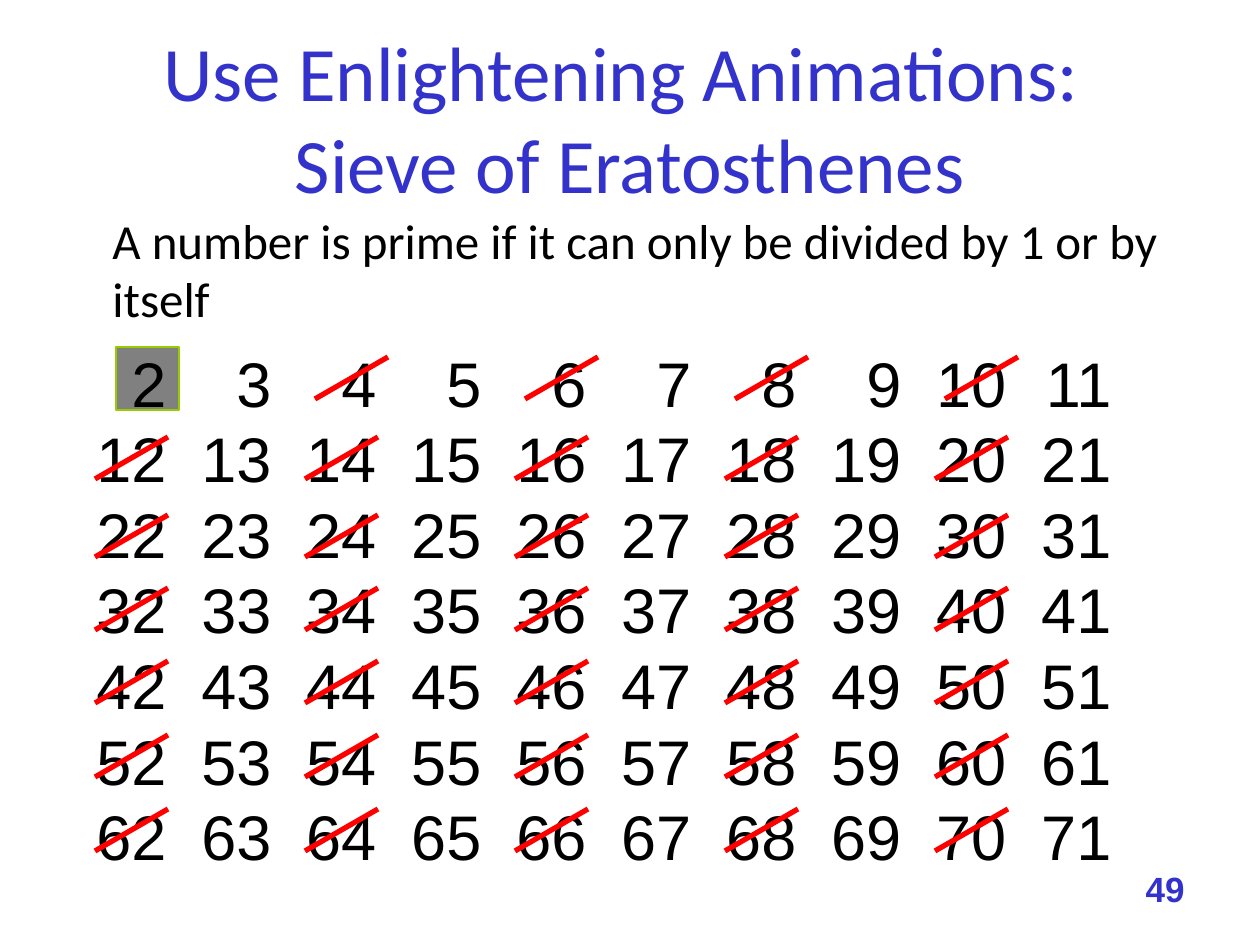
from pptx import Presentation
from pptx.dml.color import RGBColor
from pptx.enum.shapes import MSO_CONNECTOR, MSO_SHAPE
from pptx.enum.text import MSO_ANCHOR, PP_ALIGN
from pptx.oxml.ns import qn
from pptx.util import Pt
from lxml import etree

PX = 914400 // 126
LEFT, CENTER, RIGHT = PP_ALIGN.LEFT, PP_ALIGN.CENTER, PP_ALIGN.RIGHT
TOP, MIDDLE = MSO_ANCHOR.TOP, MSO_ANCHOR.MIDDLE
RECT = MSO_SHAPE.RECTANGLE
STRAIGHT = MSO_CONNECTOR.STRAIGHT

BLUE, BLACK, RED = "3333CC", "000000", "FF0000"
COLUMNS = 10
COLUMN_PITCH = 105
FIRST_TAB = 70
ROW_STARTS = range(2, 63, COLUMNS)
STRIKE_BOTTOMS = [399, 479, 557, 630, 703, 777, 851]
STRIKE_WIDTH, STRIKE_HEIGHT = 73, 42


def px(*lengths):
    return [n * PX for n in lengths]


def color(value):
    return RGBColor.from_string(value)


def add_text(slide, box, text, size, font="Calibri", fill=BLACK, bold=False,
             align=LEFT, anchor=TOP, line_spacing=None):
    sp = slide.shapes.add_textbox(*px(*box))
    tf = sp.text_frame
    tf.word_wrap = True
    tf.vertical_anchor = anchor
    tf.text = text
    for p in tf.paragraphs:
        p.alignment = align
        p.line_spacing = line_spacing
        for r in p.runs:
            r.font.name = font
            r.font.size = Pt(size)
            r.font.bold = bold
            r.font.color.rgb = color(fill)
    return sp


def set_right_tabs(p, positions):
    tabs = etree.SubElement(p._p.get_or_add_pPr(), qn("a:tabLst"))
    for pos in positions:
        etree.SubElement(tabs, qn("a:tab"), pos=str(pos), algn="r")


def add_number_grid(slide):
    rows = ["".join(f"\t{n}" for n in range(start, start + COLUMNS))
            for start in ROW_STARTS]
    sp = add_text(slide, (84, 338, 1075, 619), "\n".join(rows), 36,
                  font="Arial", line_spacing=Pt(43.2))
    stops = px(*(FIRST_TAB + i * COLUMN_PITCH for i in range(COLUMNS)))
    for p in sp.text_frame.paragraphs:
        set_right_tabs(p, stops)


def add_highlight(slide, box):
    sp = slide.shapes.add_shape(RECT, *px(*box))
    sp.shadow.inherit = False
    sp.fill.solid()
    sp.fill.fore_color.rgb = color("808080")
    sp.line.color.rgb = color("99CC00")
    sp.line.width = Pt(0.75)


def add_strike(group, x, y):
    line = group.shapes.add_connector(
        STRAIGHT, *px(x, y, x + STRIKE_WIDTH, y - STRIKE_HEIGHT))
    line.line.color.rgb = color(RED)
    line.line.width = Pt(3)
    etree.SubElement(line._element.spPr, qn("a:effectLst"))


def add_strikes(slide):
    group = slide.shapes.add_group_shape()
    for row, bottom in enumerate(STRIKE_BOTTOMS):
        left, count = (95, 5) if row else (315, 4)
        for i in range(count):
            add_strike(group, left + i * 2 * COLUMN_PITCH, bottom)


def main():
    prs = Presentation()
    prs.slide_width, prs.slide_height = px(1260, 945)
    slide = prs.slides.add_slide(prs.slide_layouts[6])
    add_text(slide, (1071, 861, 126, 65), "49", 20, font="Arial",
             fill=BLUE, bold=True, align=RIGHT)
    add_highlight(slide, (116, 347, 63, 63))
    add_number_grid(slide)
    add_text(slide, (63, 38, 1134, 157),
             "Use Enlightening Animations: \vSieve of Eratosthenes", 44,
             fill=BLUE, align=CENTER, anchor=MIDDLE)
    add_text(slide, (100, 204, 1106, 130),
             "A number is prime if it can only be divided by 1 or by itself", 28)
    add_strikes(slide)
    prs.save("out.pptx")


if __name__ == "__main__":
    main()
